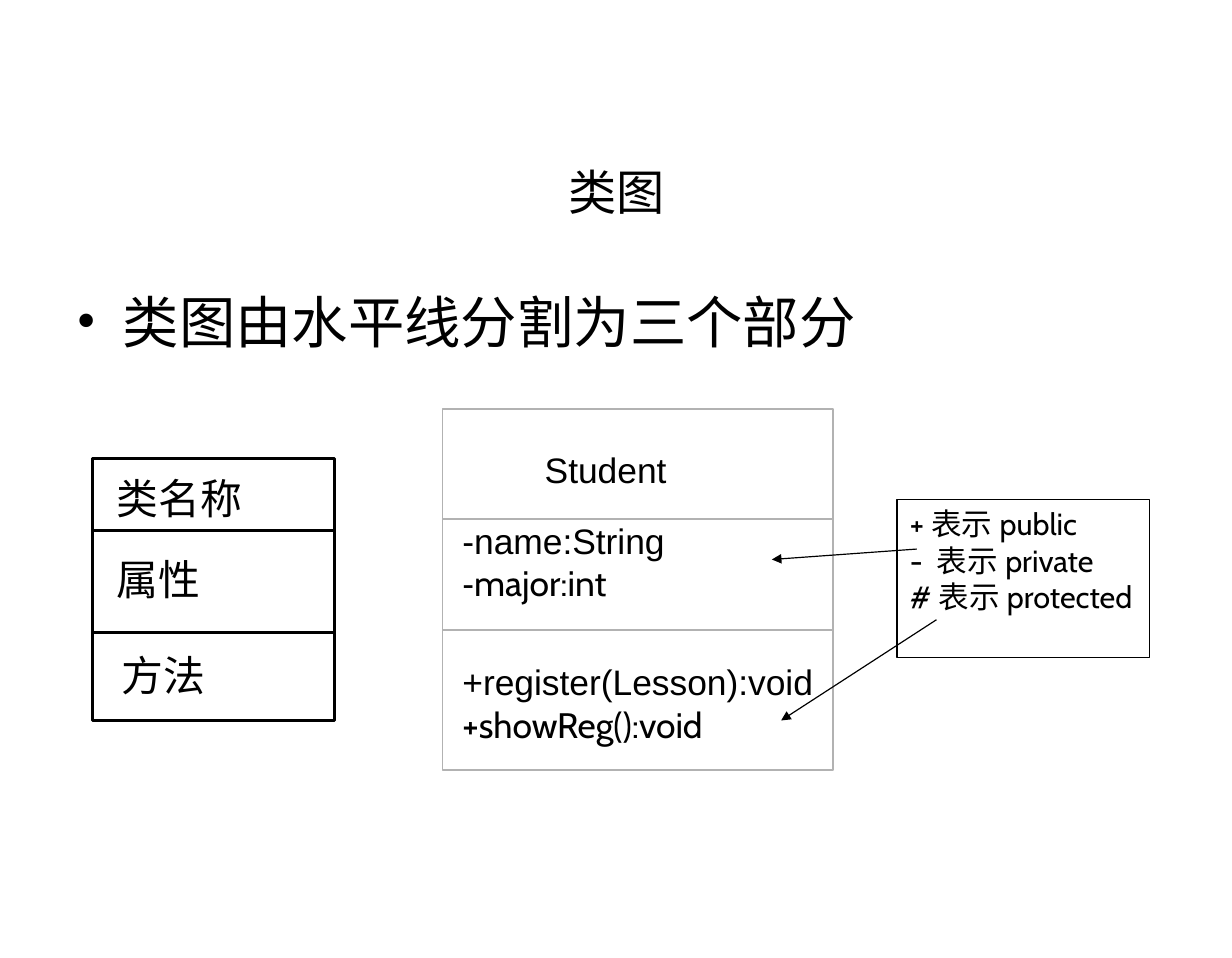
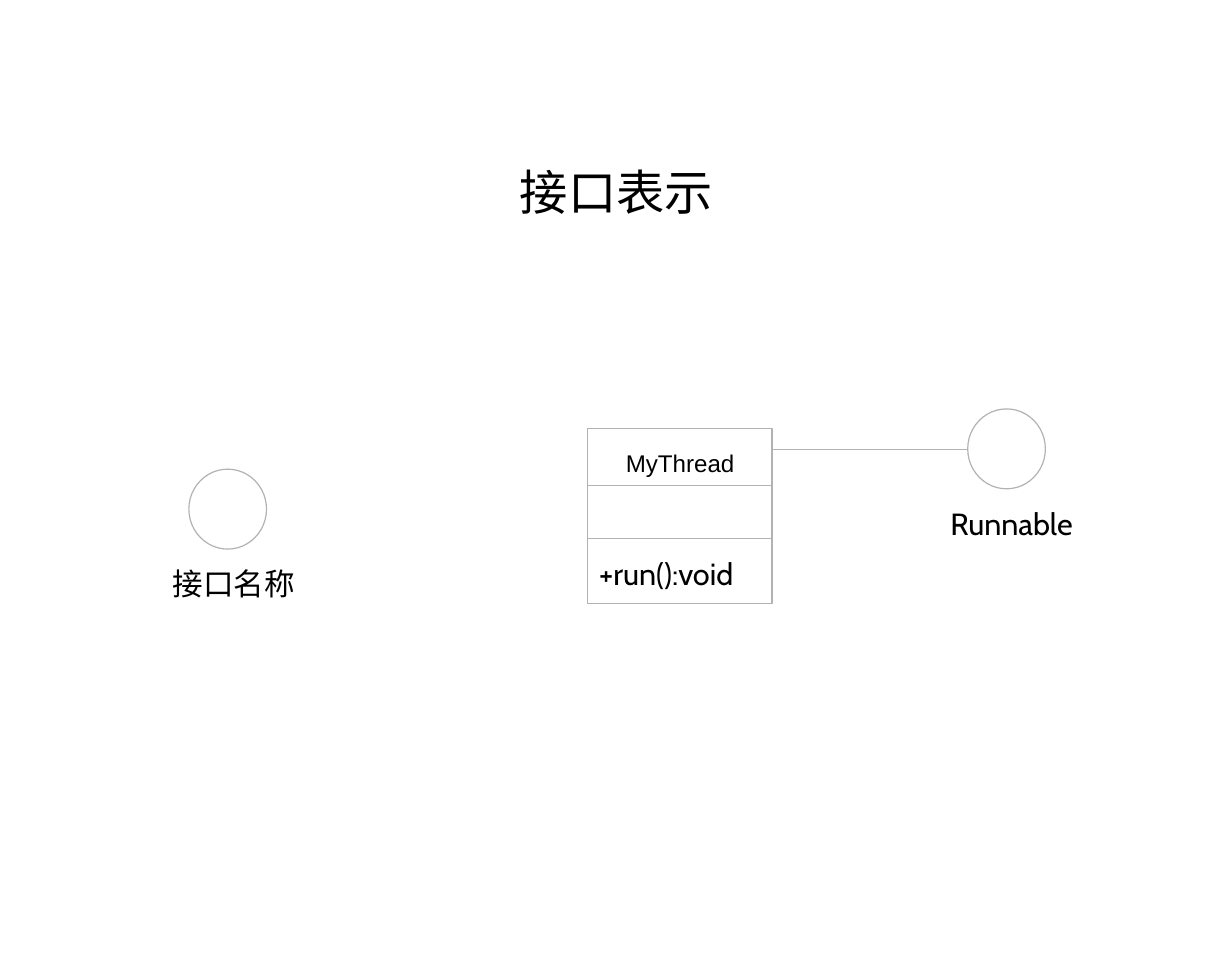
from dataclasses import dataclass

from lxml import etree
from pptx import Presentation
from pptx.dml.color import RGBColor
from pptx.enum.shapes import MSO_CONNECTOR, MSO_SHAPE
from pptx.enum.text import MSO_ANCHOR, PP_ALIGN
from pptx.oxml.ns import qn
from pptx.util import Inches, Pt

STRAIGHT = MSO_CONNECTOR.STRAIGHT
RECTANGLE = MSO_SHAPE.RECTANGLE
OVAL = MSO_SHAPE.OVAL
TOP, MIDDLE = MSO_ANCHOR.TOP, MSO_ANCHOR.MIDDLE
LEFT, CENTER = PP_ALIGN.LEFT, PP_ALIGN.CENTER


@dataclass(frozen=True)
class Theme:
    black: RGBColor = RGBColor(0x00, 0x00, 0x00)
    gray: RGBColor = RGBColor(0xB2, 0xB2, 0xB2)
    white: RGBColor = RGBColor(0xFF, 0xFF, 0xFF)
    serif: str = "Times New Roman"
    sans: str = "Arial"
    label: str = "Cabin"
    title_size: int = 30
    body_size: int = 35
    part_size: int = 26
    member_size: int = 22
    label_size: int = 19
    small_size: int = 15
    thin: float = 0.75
    medium: float = 1
    thick: float = 1.87


theme = Theme()


def write_text(shape, lines, size, padded=True, anchor=TOP, align=LEFT):
    """Fill a shape with lines, each a list of (text, font name) runs."""
    frame = shape.text_frame
    frame.word_wrap = True
    frame.vertical_anchor = anchor
    frame.margin_left = frame.margin_right = Inches(0.11 if padded else 0)
    frame.margin_top = frame.margin_bottom = Inches(0.05 if padded else 0)
    for index, runs in enumerate(lines):
        paragraph = frame.paragraphs[0] if index == 0 else frame.add_paragraph()
        paragraph.alignment = align
        for text, font_name in runs:
            run = paragraph.add_run()
            run.text = text
            run.font.name = font_name
            run.font.size = Pt(size)
            run.font.color.rgb = theme.black


def add_line(slide, start, end, color, width, arrow=False):
    connector = slide.shapes.add_connector(STRAIGHT, *map(Inches, start + end))
    connector.line.color.rgb = color
    connector.line.width = Pt(width)
    properties = connector._element.spPr
    if arrow:
        etree.SubElement(properties.find(qn("a:ln")), qn("a:tailEnd"), type="triangle")
    etree.SubElement(properties, qn("a:effectLst"))


presentation = Presentation()
presentation.slide_width = Inches(10.63)
presentation.slide_height = Inches(8.27)

# Slides and their shared title
slides = []
for title in ("类图", "接口表示"):
    slide = presentation.slides.add_slide(presentation.slide_layouts[6])
    title_box = slide.shapes.add_textbox(*map(Inches, (0.8, 1.19, 9.04, 0.92)))
    write_text(title_box, [[(title, theme.serif)]], theme.title_size,
               anchor=MIDDLE, align=CENTER)
    slides.append(slide)
class_slide, interface_slide = slides

# Bulleted statement
body = class_slide.shapes.add_textbox(*map(Inches, (0.55, 2.43, 9.87, 0.9)))
write_text(body, [[("类图由水平线分割为三个部分", theme.serif)]], theme.body_size)
bullet_properties = body.text_frame.paragraphs[0]._p.get_or_add_pPr()
bullet_properties.set("marL", str(Inches(0.4)))
bullet_properties.set("indent", str(-Inches(0.4)))
etree.SubElement(bullet_properties, qn("a:buFont"), typeface=theme.serif)
etree.SubElement(bullet_properties, qn("a:buChar"), char="•")

# Class boxes, interface circles and the note
note_position = (7.74, 4.31, 2.18, 1.37)
outlines = [
    (class_slide, RECTANGLE, (0.8, 3.96, 2.09, 2.26), theme.black, theme.thick, (4.58, 5.46)),
    (class_slide, RECTANGLE, (3.82, 3.53, 3.37, 3.12), theme.gray, theme.medium, (4.48, 5.44)),
    (class_slide, RECTANGLE, note_position, theme.black, theme.thin, ()),
    (interface_slide, RECTANGLE, (5.07, 3.7, 1.59, 1.51), theme.gray, theme.medium, (4.19, 4.65)),
    (interface_slide, OVAL, (1.63, 4.05, 0.67, 0.69), theme.gray, theme.thin, ()),
    (interface_slide, OVAL, (8.35, 3.53, 0.67, 0.69), theme.gray, theme.thin, ()),
]
for slide, kind, position, color, width, dividers in outlines:
    outline = slide.shapes.add_shape(kind, *map(Inches, position))
    outline.shadow.inherit = False
    outline.fill.solid()
    outline.fill.fore_color.rgb = theme.white
    outline.line.color.rgb = color
    outline.line.width = Pt(width)
    left, right = position[0], position[0] + position[2]
    for height in dividers:
        add_line(slide, (left, height), (right, height), color, width)
    if position == note_position:
        note_lines = ("+表示public", "- 表示private", "#表示protected")
        write_text(outline, [[(line, theme.label)] for line in note_lines], theme.label_size)

# Text inside the class boxes
members = [
    (class_slide, (1.01, 4.08, 1.3, 0.43), [[("类名称", theme.serif)]], theme.part_size),
    (class_slide, (1.01, 4.78, 0.9, 0.43), [[("属性", theme.serif)]], theme.part_size),
    (class_slide, (1.05, 5.61, 0.9, 0.43), [[("方法", theme.serif)]], theme.part_size),
    (class_slide, (4.7, 3.87, 1.25, 0.37), [[("Student", theme.sans)]], theme.member_size),
    (class_slide, (3.99, 4.48, 2, 0.73),
     [[("-name:String", theme.sans)], [("-", theme.sans), ("major:int", theme.label)]],
     theme.member_size),
    (class_slide, (3.99, 5.7, 3.18, 0.73),
     [[("+register(Lesson):void", theme.sans)], [("+showReg():void", theme.label)]],
     theme.member_size),
    (interface_slide, (5.4, 3.87, 1.1, 0.25), [[("MyThread", theme.sans)]], theme.small_size),
]
for slide, position, lines, size in members:
    member_box = slide.shapes.add_textbox(*map(Inches, position))
    write_text(member_box, lines, size, padded=False)

# Labels of the interface slide
for text, position in (
    ("接口名称", (1.38, 4.83, 1.34, 0.42)),
    ("+run():void", (5.06, 4.74, 1.59, 0.42)),
    ("Runnable", (8.09, 4.31, 1.34, 0.42)),
):
    label_box = interface_slide.shapes.add_textbox(*map(Inches, position))
    write_text(label_box, [[(text, theme.label)]], theme.label_size)

# Arrows from the note and the link to the interface
for start, end in (((7.91, 4.74), (6.66, 4.83)), ((8.08, 5.35), (6.74, 6.22))):
    add_line(class_slide, start, end, theme.black, theme.thin, arrow=True)
add_line(interface_slide, (6.67, 3.88), (8.35, 3.88), theme.gray, theme.thin)

presentation.save("out.pptx")
